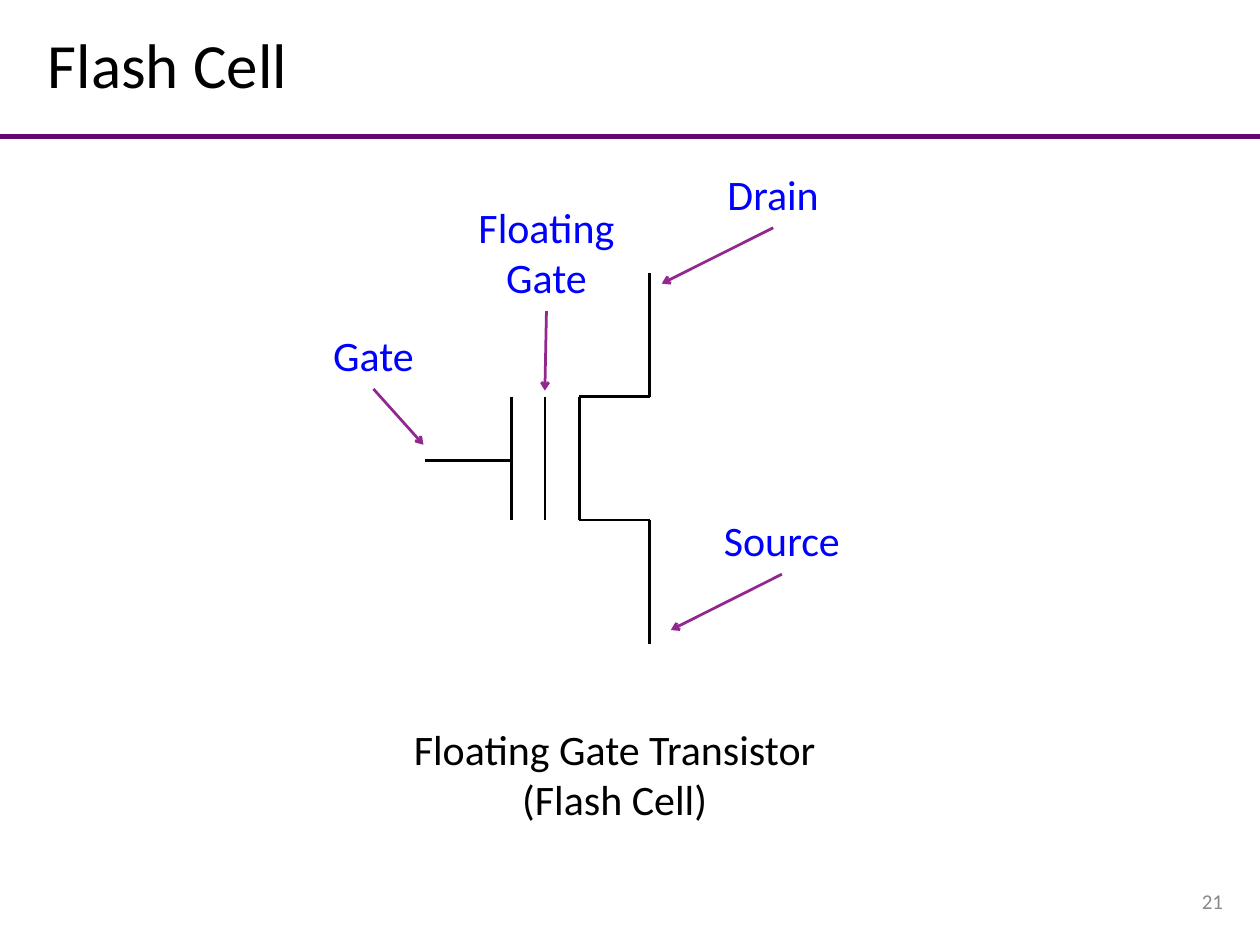
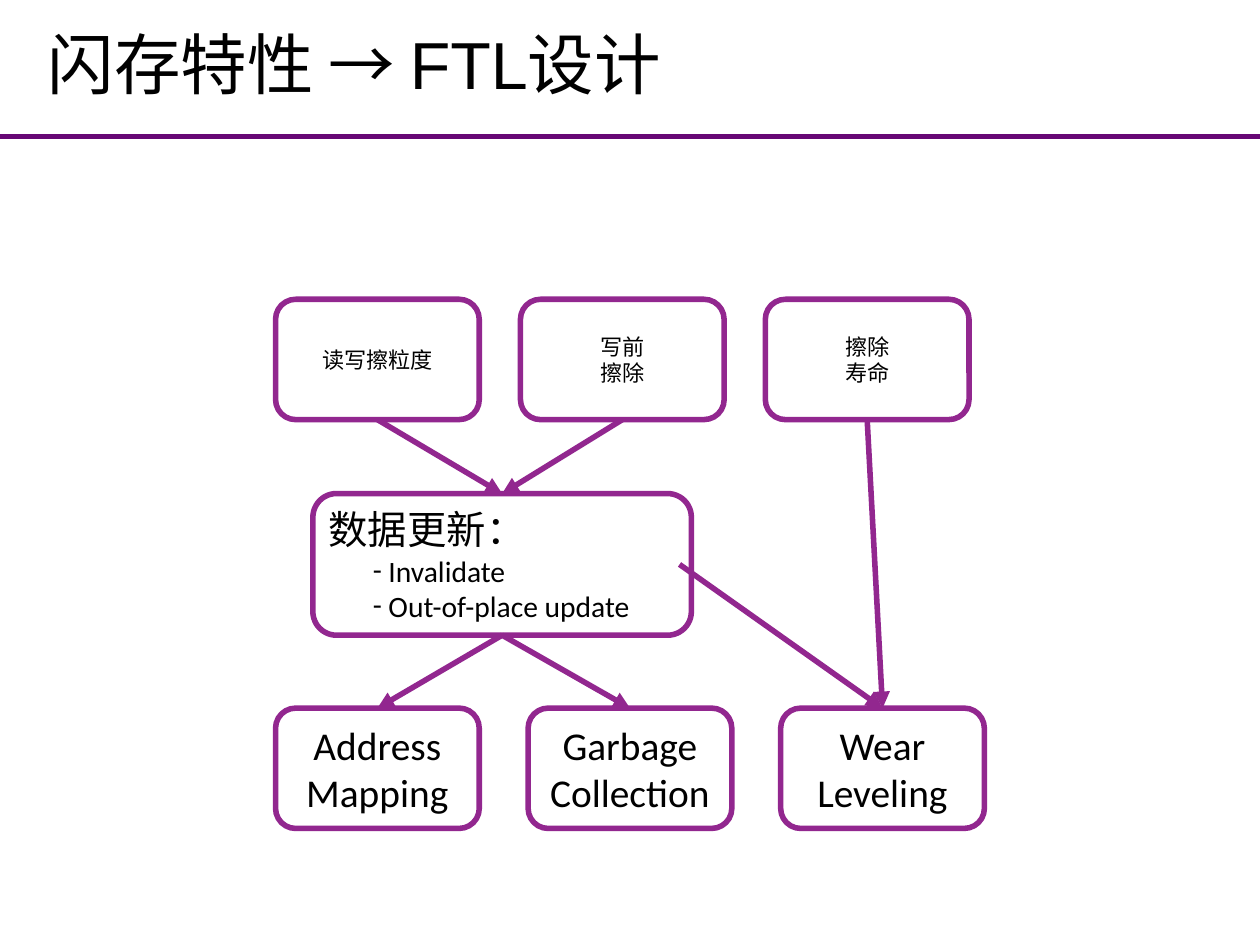
import dataclasses
import itertools

import lxml.etree
import pptx
import pptx.dml.color
import pptx.enum.shapes
import pptx.enum.text
import pptx.oxml.ns
import pptx.util

Cm = pptx.util.Cm
Pt = pptx.util.Pt
Color = pptx.dml.color.RGBColor
Align = pptx.enum.text.PP_ALIGN
Anchor = pptx.enum.text.MSO_ANCHOR
TOP, BOTTOM = 0, 2


@dataclasses.dataclass(frozen=True)
class Theme:
    width: float = 36.12
    height: float = 27.09
    ink: Color = Color(0x00, 0x00, 0x00)
    paper: Color = Color(0xFF, 0xFF, 0xFF)
    rule: Color = Color(0x67, 0x07, 0x75)
    accent: Color = Color(0x92, 0x27, 0x8F)
    label: Color = Color(0x00, 0x00, 0xFF)
    muted: Color = Color(0x89, 0x89, 0x89)
    font: str = "Calibri"
    title_font: str = "Arial"
    label_size: float = 34.1
    heading_size: float = 32
    item_size: float = 24
    small_size: float = 18
    number_size: float = 17.1
    thick: float = 4.5
    thin: float = 2.25


THEME = Theme()


def add_xml(parent, tag, **attributes):
    child = lxml.etree.SubElement(parent, pptx.oxml.ns.qn(tag))
    for name, value in attributes.items():
        child.set(name, str(value))
    return child


def write(frame, text, *, size, color=THEME.ink, font=THEME.font,
          align=Align.LEFT, line_spacing=None, bullet=None):
    """Append each line of text to the frame as a paragraph."""
    for line in text.split("\n"):
        para = frame.add_paragraph() if frame.text else frame.paragraphs[0]
        para.alignment = align
        if line_spacing:
            para.line_spacing = line_spacing
        if bullet:
            properties = para._p.get_or_add_pPr()
            properties.set("marL", str(Cm(1.72)))
            properties.set("indent", str(Cm(-0.45)))
            add_xml(properties, "a:buFont", typeface=font)
            add_xml(properties, "a:buChar", char=bullet)
        span = para.add_run()
        span.text = line
        span.font.size = Pt(size)
        span.font.name = font
        span.font.color.rgb = color


def add_text(page, left, top, width, height, text, *, anchor=Anchor.TOP,
             wrap=True, **text_format):
    box = page.shapes.add_textbox(Cm(left), Cm(top), Cm(width), Cm(height))
    box.text_frame.word_wrap = wrap
    box.text_frame.vertical_anchor = anchor
    write(box.text_frame, text, **text_format)
    return box


def add_line(page, start, end, *, color=THEME.ink, weight=THEME.thin, head=None):
    line = page.shapes.add_connector(
        pptx.enum.shapes.MSO_CONNECTOR.STRAIGHT, *map(Cm, start + end))
    line.line.color.rgb = color
    line.line.width = Pt(weight)
    if head:
        add_xml(line.line._get_or_add_ln(), "a:tailEnd", type=head)
    add_xml(line._element.spPr, "a:effectLst")
    return line


def add_flow(page, source, target, start=(0, 0)):
    """Draw an arrow to the target's top, from the source's bottom or from start."""
    arrow = add_line(page, start, (0, 0), color=THEME.accent,
                     weight=THEME.thick, head="triangle")
    if source is not None:
        arrow.begin_connect(source, BOTTOM)
    arrow.end_connect(target, TOP)


def add_card(page, left, top, width=5.84, height=3.45):
    card = page.shapes.add_shape(
        pptx.enum.shapes.MSO_SHAPE.ROUNDED_RECTANGLE,
        Cm(left), Cm(top), Cm(width), Cm(height))
    card.shadow.inherit = False
    card.fill.solid()
    card.fill.fore_color.rgb = THEME.paper
    card.line.color.rgb = THEME.accent
    card.line.width = Pt(THEME.thick)
    card.text_frame.word_wrap = True
    card.text_frame.vertical_anchor = Anchor.MIDDLE
    return card


def add_card_row(page, texts, top, step, size):
    cards = []
    for column, text in enumerate(texts):
        card = add_card(page, 7.9 + column * step, top)
        write(card.text_frame, text, size=size, align=Align.CENTER)
        cards.append(card)
    return cards


def add_pointer(page, text, left, top, target, rows=1):
    """Place a label with an arrow from just below it to the target."""
    width = 5.77
    height = 1.73 + 1.45 * (rows - 1)
    add_text(page, left, top, width, height, text, size=THEME.label_size,
             color=THEME.label, align=Align.CENTER)
    add_line(page, (left + width / 2, top + height + 0.1), target,
             color=THEME.accent, head="arrow")


def add_page(deck, title, size, font):
    page = deck.slides.add_slide(deck.slide_layouts[6])
    add_line(page, (0, 3.91), (THEME.width, 3.91),
             color=THEME.rule, weight=THEME.thick)
    add_text(page, 1.12, 0.33, 34.21, 3.23, title, size=size, font=font,
             anchor=Anchor.MIDDLE, line_spacing=0.9)
    return page


def add_transistor(page):
    drain_end, channel_top, channel_bottom, source_end = (
        7.83 + 3.54 * step for step in range(4))
    lead, gate, floating_gate, channel, terminal = 12.17, 14.66, 15.62, 16.61, 18.62
    outline = [(terminal, drain_end), (terminal, channel_top),
               (channel, channel_top), (channel, channel_bottom),
               (terminal, channel_bottom), (terminal, source_end)]
    for start, end in itertools.pairwise(outline):
        add_line(page, start, end)
    for plate in (floating_gate, gate):
        add_line(page, (plate, channel_top), (plate, channel_bottom))
    add_line(page, (lead, 13.21), (gate, 13.21))


def add_flash_cell_page(deck):
    page = add_page(deck, "Flash Cell", 51.2, THEME.font)
    add_text(page, 27.18, 25.1, 8.13, 1.45, "21", size=THEME.number_size,
             color=THEME.muted, align=Align.RIGHT, anchor=Anchor.MIDDLE)
    add_transistor(page)
    add_pointer(page, "Floating Gate", 12.78, 5.64, (15.62, 11.2), rows=2)
    add_pointer(page, "Gate", 7.82, 9.32, (12.14, 12.75))
    add_pointer(page, "Drain", 19.28, 4.7, (18.97, 8.13))
    add_pointer(page, "Source", 19.53, 14.63, (19.23, 18.06))
    add_text(page, 11.46, 20.62, 12.32, 3.18,
             "Floating Gate Transistor\n(Flash Cell)",
             size=THEME.label_size, align=Align.CENTER, wrap=False)


def add_design_page(deck):
    page = add_page(deck, "闪存特性 → FTL设计", 54, THEME.title_font)
    granularity, erase_first, endurance = add_card_row(
        page, ["读写擦粒度", "写前\n擦除", "擦除\n寿命"],
        top=8.58, step=7.02, size=THEME.small_size)

    update = add_card(page, 8.97, 14.15, 10.85, 4.06)
    write(update.text_frame, "数据更新：", size=THEME.heading_size)
    write(update.text_frame, "Invalidate\nOut-of-place update",
          size=THEME.item_size, bullet="-")

    mapping, collection, leveling = add_card_row(
        page, ["Address Mapping", "Garbage Collection", "Wear Leveling"],
        top=20.3, step=7.24, size=THEME.heading_size)

    for source, target in [(granularity, update), (erase_first, update),
                           (update, mapping), (update, collection),
                           (endurance, leveling)]:
        add_flow(page, source, target)
    add_flow(page, None, leveling, start=(19.48, 16.18))


def main():
    deck = pptx.Presentation()
    deck.slide_width = Cm(THEME.width)
    deck.slide_height = Cm(THEME.height)
    add_flash_cell_page(deck)
    add_design_page(deck)
    deck.save("out.pptx")


if __name__ == "__main__":
    main()
